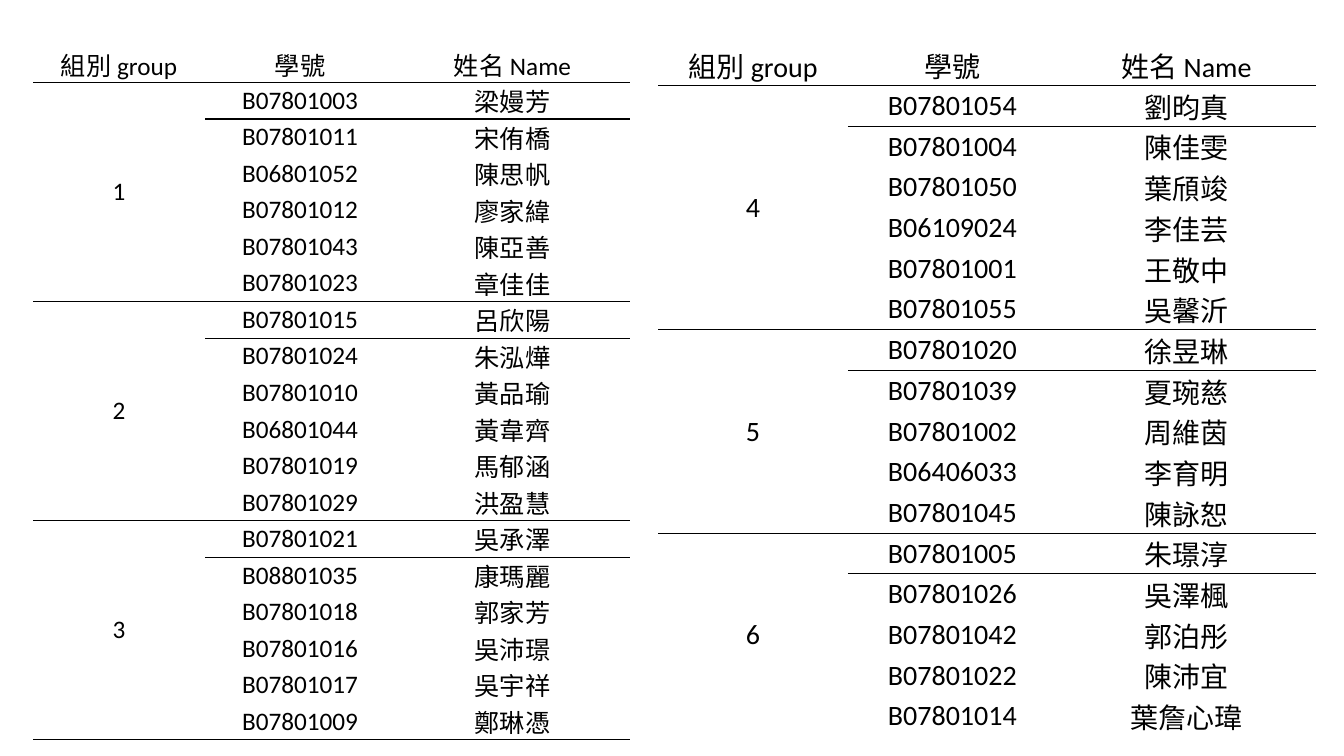
from lxml.etree import SubElement
from pptx import Presentation
from pptx.dml.color import RGBColor
from pptx.enum.text import MSO_ANCHOR as Anchor, PP_ALIGN as Align
from pptx.oxml import parse_xml
from pptx.oxml.ns import nsdecls, qn
from pptx.util import Emu, Pt

PIXEL = 12192000 / 1344
FONT = "Calibri"
BLACK = "000000"
PLAIN_STYLE = "{2D5ABB26-0587-4C30-8999-92F81FD0307C}"
HEADINGS = ["組別 group", "學號", "姓名 Name"]

LEFT_GROUPS = {
    "1": [("B07801003", "梁嫚芳"), ("B07801011", "宋侑橋"),
          ("B06801052", "陳思帆"), ("B07801012", "廖家緯"),
          ("B07801043", "陳亞善"), ("B07801023", "章佳佳")],
    "2": [("B07801015", "呂欣陽"), ("B07801024", "朱泓燁"),
          ("B07801010", "黃品瑜"), ("B06801044", "黃韋齊"),
          ("B07801019", "馬郁涵"), ("B07801029", "洪盈慧")],
    "3": [("B07801021", "吳承澤"), ("B08801035", "康瑪麗"),
          ("B07801018", "郭家芳"), ("B07801016", "吳沛璟"),
          ("B07801017", "吳宇祥"), ("B07801009", "鄭琳憑")],
}
RIGHT_GROUPS = {
    "4": [("B07801054", "劉昀真"), ("B07801004", "陳佳雯"),
          ("B07801050", "葉頎竣"), ("B06109024", "李佳芸"),
          ("B07801001", "王敬中"), ("B07801055", "吳馨沂")],
    "5": [("B07801020", "徐昱琳"), ("B07801039", "夏琬慈"),
          ("B07801002", "周維茵"), ("B06406033", "李育明"),
          ("B07801045", "陳詠恕")],
    "6": [("B07801005", "朱璟淳"), ("B07801026", "吳澤楓"),
          ("B07801042", "郭泊彤"), ("B07801022", "陳沛宜"),
          ("B07801014", "葉詹心瑋")],
}


def px(length):
    return Emu(round(length * PIXEL))


def color(value):
    return RGBColor.from_string(value)


def write(cell, text, size):
    para = cell.text_frame.paragraphs[0]
    para.alignment = Align.CENTER
    span = para.add_run()
    span.text = text
    span.font.name = FONT
    span.font.size = Pt(size)
    span.font.color.rgb = color(BLACK)


def clear_cell(cell):
    cell.fill.background()
    cell.vertical_anchor = Anchor.MIDDLE
    cell.margin_left = cell.margin_right = 0
    cell.margin_top = cell.margin_bottom = 0


def add_border(cell, side, points):
    line = parse_xml(
        f'<a:{side} {nsdecls("a")} w="{Pt(points)}"><a:solidFill>'
        f'<a:srgbClr val="{BLACK}"/></a:solidFill></a:{side}>')
    properties = cell._tc.get_or_add_tcPr()
    # Borders come before the fill, and the top before the bottom
    top = properties.find(qn("a:lnT"))
    properties.insert(0 if top is None else 1, line)


def rule_below(table, row, points):
    for column in range(len(table.columns)):
        add_border(table.cell(row, column), "lnB", points)
        if row + 1 < len(table.rows):
            add_border(table.cell(row + 1, column), "lnT", points)


def make_plain(table):
    table.first_row = table.horz_banding = False
    properties = table._tbl.tblPr
    style = properties.find(qn("a:tableStyleId"))
    if style is None:
        style = SubElement(properties, qn("a:tableStyleId"))
    style.text = PLAIN_STYLE


def add_roster(page, groups, left, top, widths, heights, frame_height,
               size, closed):
    frame = page.shapes.add_table(len(heights), len(widths), px(left), px(top),
                                  px(sum(widths)), px(frame_height))
    table = frame.table
    make_plain(table)
    for column, width in zip(table.columns, widths):
        column.width = px(width)
    for row, height in zip(table.rows, heights):
        row.height = px(height)
    frame.height = px(frame_height)
    for cell in table.iter_cells():
        clear_cell(cell)

    # Heading row
    for column, heading in enumerate(HEADINGS):
        write(table.cell(0, column), heading, size)
    rule_below(table, 0, 1)

    # One merged group cell beside its members
    first = 1
    for number, members in groups.items():
        last = first + len(members) - 1
        group_cell = table.cell(first, 0)
        write(group_cell, number, size)
        for row, member in enumerate(members, first):
            for column, text in enumerate(member, 1):
                write(table.cell(row, column), text, size)
        if closed or last + 1 < len(heights):
            rule_below(table, last, 0.5)
            add_border(group_cell, "lnB", 0.5)
        group_cell.merge(table.cell(last, 0))
        first = last + 1


def main():
    deck = Presentation()
    deck.slide_width, deck.slide_height = px(1344), px(756)
    page = deck.slides.add_slide(deck.slide_layouts[6])
    add_roster(page, LEFT_GROUPS, 33, 46, [172, 190, 235], [34] * 19, 647,
               size=18, closed=True)
    add_roster(page, RIGHT_GROUPS, 658, 45, [190, 209, 259],
               [13] * 16 + [24], 580, size=20, closed=False)
    deck.save("out.pptx")


main()
